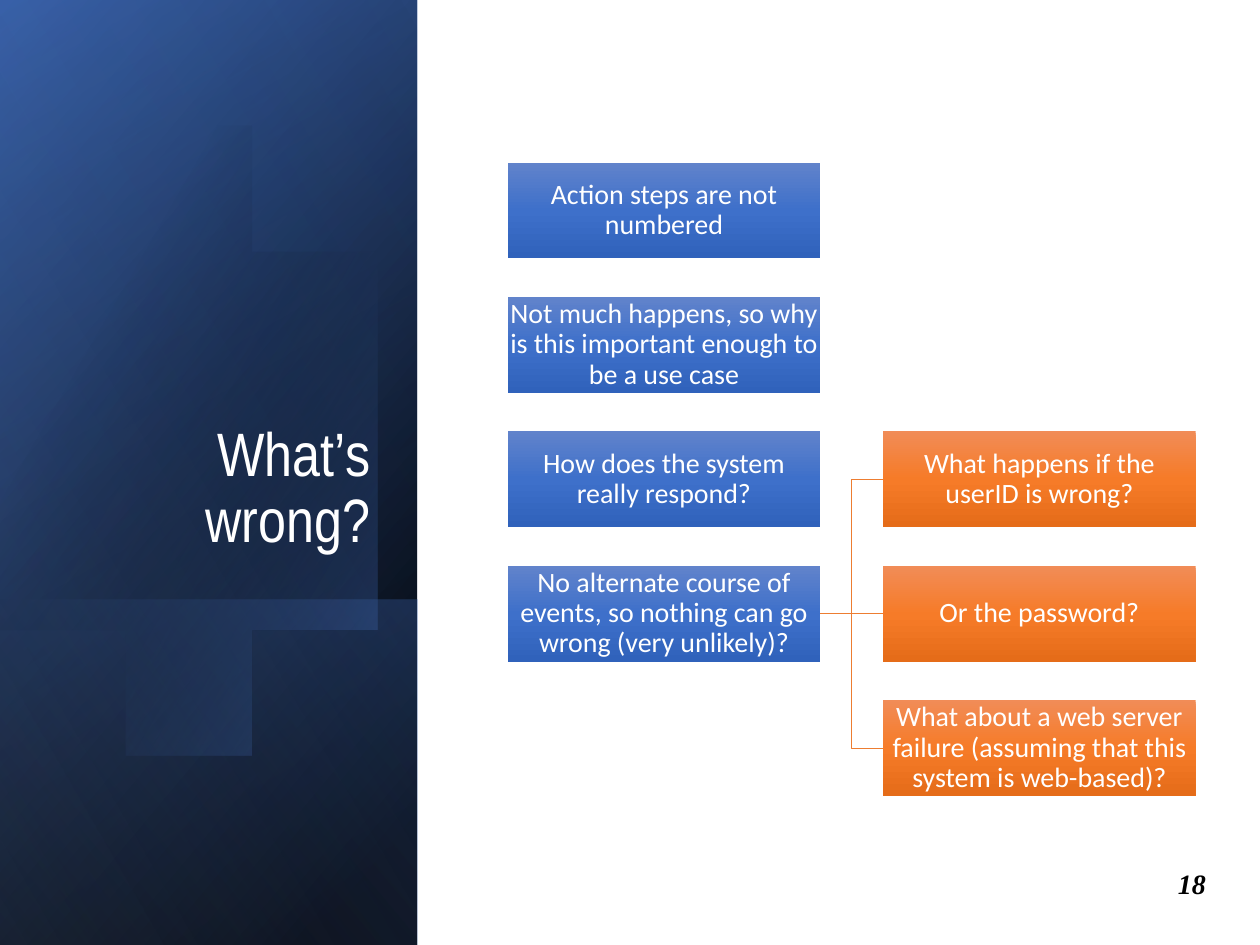
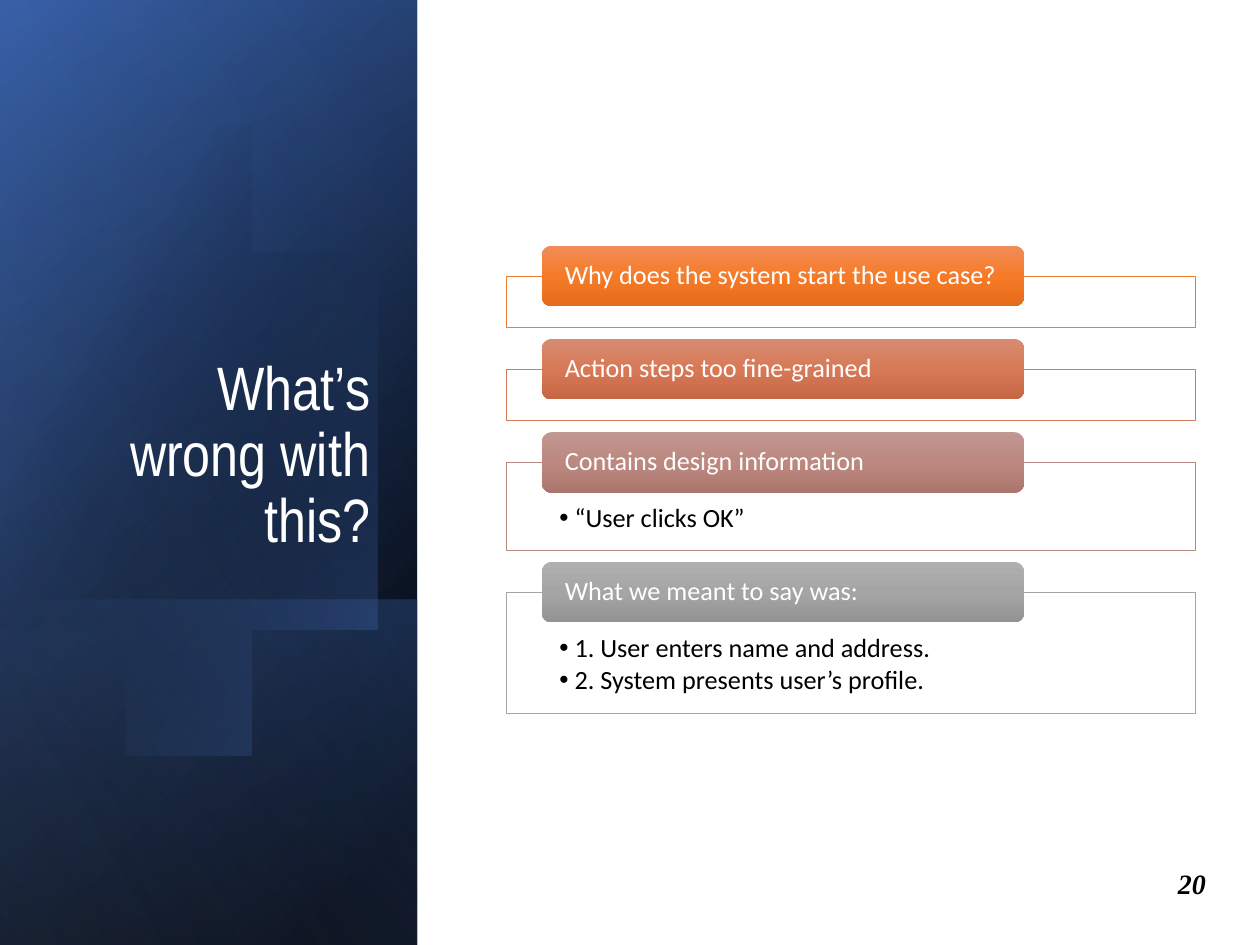
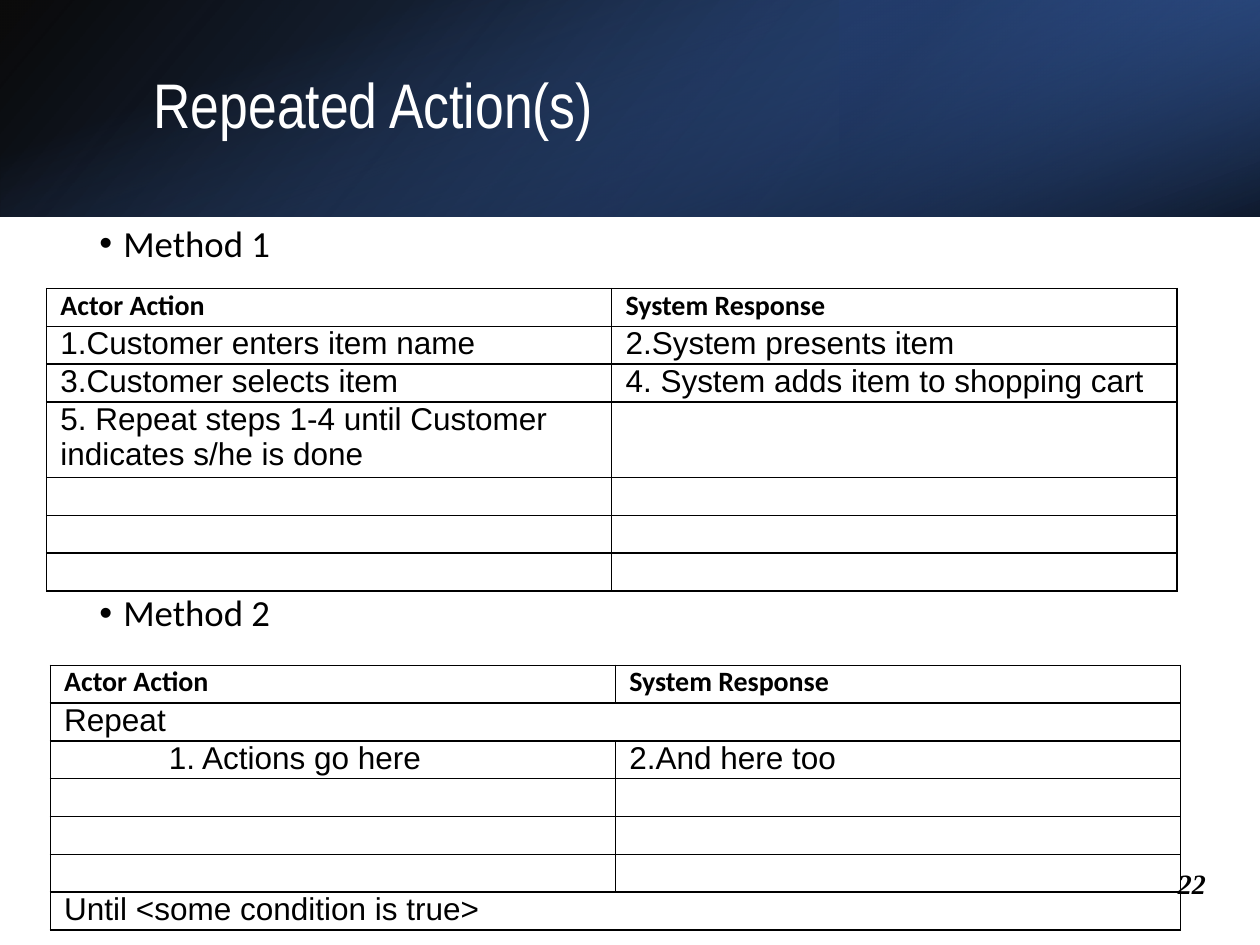
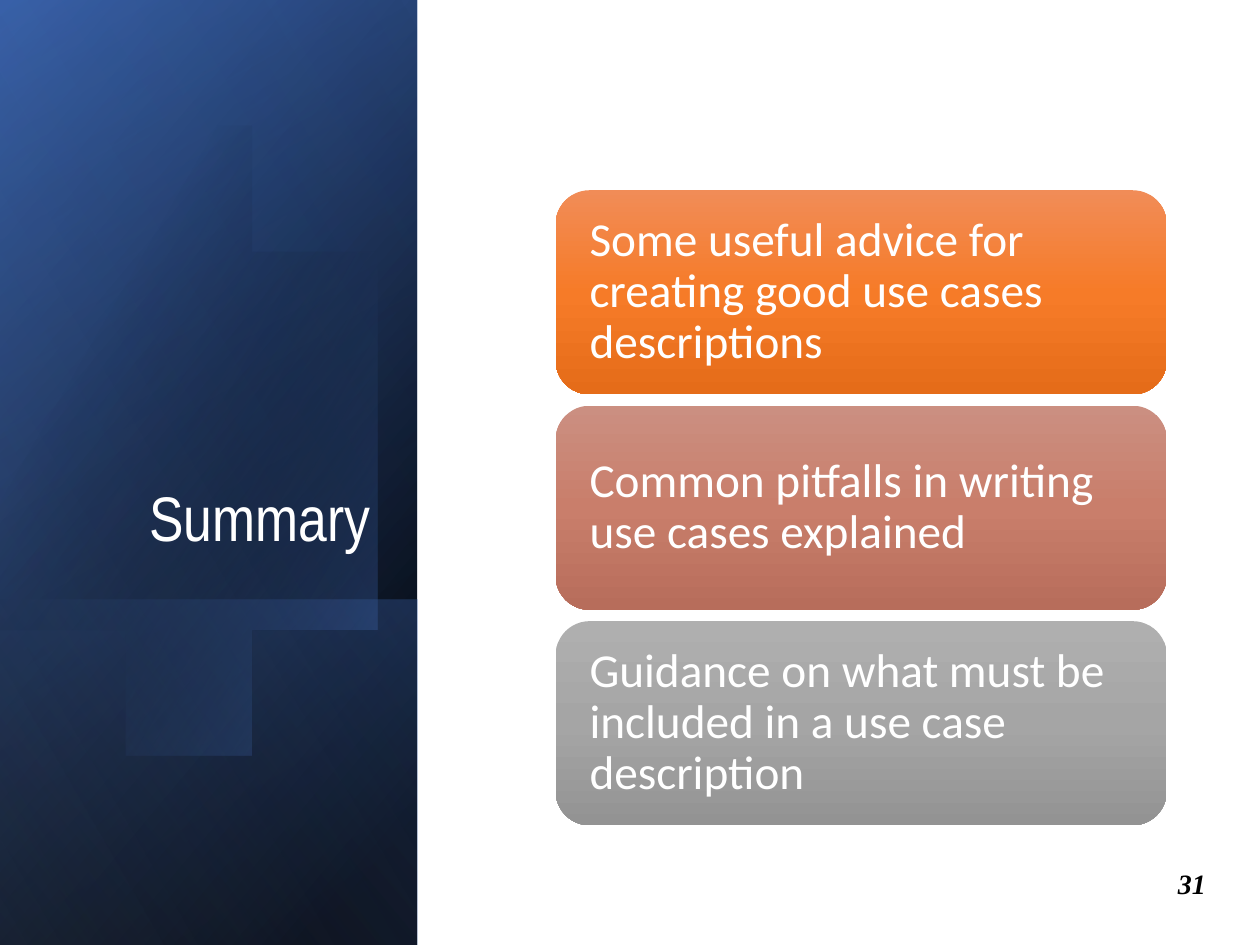
from lxml import etree
from pptx import Presentation
from pptx.dml.color import RGBColor
from pptx.enum.shapes import MSO_CONNECTOR, MSO_SHAPE
from pptx.enum.text import MSO_ANCHOR, MSO_AUTO_SIZE, PP_ALIGN
from pptx.oxml.ns import nsdecls, qn
from pptx.oxml import parse_xml
from pptx.util import Inches, Pt

RECT, ROUND = MSO_SHAPE.RECTANGLE, MSO_SHAPE.ROUNDED_RECTANGLE
ELBOW, STRAIGHT = MSO_CONNECTOR.ELBOW, MSO_CONNECTOR.STRAIGHT
TOP, MIDDLE, BOTTOM = MSO_ANCHOR.TOP, MSO_ANCHOR.MIDDLE, MSO_ANCHOR.BOTTOM
LEFT, CENTER, RIGHT = PP_ALIGN.LEFT, PP_ALIGN.CENTER, PP_ALIGN.RIGHT

WIDE, HIGH = 10, 7.5
SIDE, BAND = 3.31, 1.72          # side panel width, top band height
BLACK, WHITE = "000000", "FFFFFF"
BLUE, ORANGE = "4472C4", "ED7D31"
HEAD, BODY, CELL, PAGE = "Arial Narrow", "Calibri", "Arial", "Times New Roman"

# Three-stop vertical blends for the boxes
SKY = ("6183CB", "3E70CA", "3062BB")
FIRE = ("F18C57", "F67B28", "E56C19")
CLAY = ("D78B72", "D77956", "C66846")
BRICK = ("CB8F81", "C97E6B", "B76D5B")
ROSE = ("C19791", "BC8880", "AA766E")
GREY = ("AFAFAF", "A5A5A5", "939393")

# Layers: visible box, turn, flip, stops (place, colour, opacity), angle
FULL = (0, 0, SIDE, HIGH)
UNDER = [
    (FULL, 90, True, [(8, BLACK, 100), (100, "2F5597", 100)], 50),
    (FULL, 90, True, [(0, BLACK, 0), (99, BLUE, 46)], 30),
    ((0, 4.76, SIDE, 2.74), 90, True, [(2, BLUE, 29), (100, BLACK, 30)], 130),
]
OVER = [(FULL, 90, True, [(0, BLACK, 0), (99, "8FAADC", 11)], 120)]
STRIP = [
    ((0, 0, WIDE, BAND), 0, True, [(0, BLACK, 96), (100, "2F5597", 100)], 140),
    ((WIDE * 2 / 3, 0, WIDE / 3, BAND), 180, True,
     [(19, "203864", 68), (100, BLUE, 79)], 320),
    ((0, 0, WIDE, BAND), 90, False, [(23, BLUE, 0), (99, BLACK, 74)], 340),
]
# Oval outline: each entry is two handles and an end, or just an end
START = (0.96, 1.14)
OVAL = [
    ((1.71, 1.22), (2.44, 1.92), (2.73, 2.9)),
    ((3.07, 4.12), (2.62, 5.31), (1.71, 5.57)),
    ((1.14, 5.74), (0.53, 5.5), (0.07, 5)),
    ((-0.03, 4.88),), ((-0.25, 1.66),), ((-0.15, 1.54),),
    ((0.02, 1.37), (0.22, 1.25), (0.45, 1.18)),
    ((0.62, 1.13), (0.79, 1.12), START),
]
GLOW = [(29, BLACK, 0), (100, BLUE, 43)]

FAULTS = [
    "Action steps are not numbered",
    "Not much happens, so why is this important enough to be a use case",
    "How does the system really respond?",
    "No alternate course of events, so nothing can go wrong (very unlikely)?",
]
RISKS = [
    "What happens if the userID is wrong?",
    "Or the password?",
    "What about a web server failure (assuming that this system is web-based)?",
]
# Heading, blend, outline, frame height, bullets
ISSUES = [
    ("Why does the system start the use case?", FIRE, ORANGE, 0.41, []),
    ("Action steps too fine-grained", CLAY, "D17B5C", 0.41, []),
    ("Contains design information", ROSE, "B98A82", 0.7,
     ["“User clicks OK”"]),
    ("What we meant to say was:", GREY, "A5A5A5", 0.96,
     ["1. User enters name and address.",
      "2. System presents user’s profile."]),
]
POINTS = [
    ("Some useful advice for creating good use cases descriptions", FIRE),
    ("Common pitfalls in writing use cases explained", BRICK),
    ("Guidance on what must be included in a use case description", GREY),
]
COLS = ("Actor Action", "System Response")
BLANK = ("", "")
LOOP = [
    COLS,
    ("1.Customer enters item name", "2.System presents item"),
    ("3.Customer selects item", "4. System adds item to shopping cart"),
    ("5. Repeat steps 1-4 until Customer indicates s/he is done", ""),
    BLANK, BLANK, BLANK,
]
# A row with one entry spans both columns
UNTIL = [
    COLS,
    ("Repeat",),
    ("1. Actions go here", "2.And here too"),
    BLANK, BLANK, BLANK,
    ("Until <some condition is true>",),
]


def tint(code):
    """Turn a hex string into a colour."""
    return RGBColor.from_string(code)


def inch(*sizes):
    """Turn inches into lengths."""
    return [Inches(size) for size in sizes]


def blend(shape, stops, angle):
    """Fill a shape with a linear gradient."""
    shape.fill.background()
    grad = parse_xml(f"<a:gradFill {nsdecls('a')}><a:gsLst/>"
                     f'<a:lin ang="{angle * 60000}" scaled="0"/></a:gradFill>')
    for place, code, alpha in stops:
        stop = etree.SubElement(grad[0], qn("a:gs"), pos=str(place * 1000))
        color = etree.SubElement(stop, qn("a:srgbClr"), val=code)
        if alpha < 100:
            etree.SubElement(color, qn("a:alpha"), val=str(alpha * 1000))
    props = shape.element.spPr
    props.replace(props.find(qn("a:noFill")), grad)


def plain(shape):
    """Strip the shadow and outline."""
    shape.shadow.inherit = False
    shape.line.fill.background()
    return shape


def indent(para, left, hang=0):
    """Indent a paragraph; a hanging one gets a bullet."""
    props = para._p.get_or_add_pPr()
    props.set("marL", str(Inches(left)))
    if hang:
        props.set("indent", str(-Inches(hang)))
        etree.SubElement(props, qn("a:buFont"), typeface="Arial")
        etree.SubElement(props, qn("a:buChar"), char="•")


def style(para, size, face=BODY, code=WHITE, align=LEFT, space=0.9):
    """Set a paragraph's font, alignment and line spacing."""
    para.font.size, para.font.name = Pt(size), face
    para.font.color.rgb = tint(code)
    para.alignment, para.line_spacing = align, space


def setup(frame, pads, anchor=TOP):
    """Wrap a text frame and set its margins: left, top, right, bottom."""
    frame.word_wrap, frame.auto_size = True, MSO_AUTO_SIZE.NONE
    frame.vertical_anchor = anchor
    (frame.margin_left, frame.margin_top,
     frame.margin_right, frame.margin_bottom) = inch(*pads)


def write(frame, lines):
    """Put lines into a frame and return the paragraphs."""
    frame.text = "\n".join(lines)
    return frame.paragraphs


def layer(slide, box, turn, flip, stops, angle):
    """Add a turned gradient rectangle that covers the given box."""
    left, top, wide, high = box
    w, h = (high, wide) if turn == 90 else (wide, high)
    spot = inch(left + (wide - w) / 2, top + (high - h) / 2, w, h)
    shape = plain(slide.shapes.add_shape(RECT, *spot))
    shape.rotation = turn
    if flip:
        shape.element.spPr.find(qn("a:xfrm")).set("flipH", "1")
    blend(shape, stops, angle)


def curve(a, b, c, d, steps=16):
    """Give points along a cubic curve after its start."""
    out = []
    for i in range(1, steps + 1):
        t = i / steps
        parts = ((1 - t) ** 3, 3 * t * (1 - t) ** 2, 3 * t * t * (1 - t), t ** 3)
        out.append(tuple(sum(k * p[n] for k, p in zip(parts, (a, b, c, d)))
                         for n in (0, 1)))
    return out


def oval(slide):
    """Draw the glowing cut oval of the side panel."""
    dots = [START]
    for step in OVAL:
        dots += curve(dots[-1], *step) if len(step) == 3 else step
    build = slide.shapes.build_freeform(*START, scale=Inches(1))
    build.add_line_segments(dots[1:], close=True)
    blend(plain(build.convert_to_shape()), GLOW, 30)


def start(deck, title, page, size, side=True):
    """Add a slide with page number, backdrop and title."""
    slide = deck.slides.add_slide(deck.slide_layouts[5])
    note = slide.shapes.add_textbox(*inch(9.25, 6.83, 0.75, 0.37))
    setup(note.text_frame, (0.1, 0.05, 0.1, 0.05))
    para = write(note.text_frame, [page])[0]
    style(para, 16, PAGE, BLACK, space=1)
    para.font.bold = para.font.italic = True
    for item in UNDER if side else STRIP:
        layer(slide, *item)
    if side:
        oval(slide)
        for item in OVER:
            layer(slide, *item)
    head = slide.shapes.title
    head.element.getparent().append(head.element)  # bring to front
    spot = (0.48, 1.84, 2.56, 2.62) if side else (1.12, 0.38, 8.24, 0.96)
    head.left, head.top, head.width, head.height = inch(*spot)
    setup(head.text_frame, (0.1, 0.05, 0.1, 0.05), BOTTOM if side else MIDDLE)
    para = write(head.text_frame, [title])[0]
    style(para, size, HEAD, align=RIGHT if side else LEFT)
    return slide


def block(slide, kind, box, text, shades, size, pads, align=LEFT):
    """Add a gradient box with centred-height text."""
    shape = plain(slide.shapes.add_shape(kind, *inch(*box)))
    blend(shape, [(n * 50, code, 100) for n, code in enumerate(shades)], 90)
    setup(shape.text_frame, pads, MIDDLE)
    style(write(shape.text_frame, [text])[0], size, align=align)
    return shape


def link(slide, kind, source, target):
    """Join the right side of one box to the left side of another."""
    line = slide.shapes.add_connector(kind, 0, 0, 0, 0)
    line.begin_connect(source, 3)
    line.end_connect(target, 1)
    line.line.color.rgb, line.line.width = tint(ORANGE), Pt(0.5)
    etree.SubElement(line.element.spPr, qn("a:effectLst"))


def tree(slide):
    """Lay out the faults and the risks that branch from the last one."""
    wide, high, step = 2.48, 0.76, 1.067

    def place(col, row, text, shades):
        """Put one box on the grid."""
        box = (4.03 + col * 2.98, 1.29 + row * step, wide, high)
        return block(slide, RECT, box, text, shades, 16, (0.01,) * 4, CENTER)

    left = [place(0, n, text, SKY) for n, text in enumerate(FAULTS)]
    right = [place(1, n + 2, text, FIRE) for n, text in enumerate(RISKS)]
    for n, box in enumerate(right):
        link(slide, STRAIGHT if n == 1 else ELBOW, left[-1], box)


def stack(slide):
    """Stack the outlined frames with their heading tabs."""
    left, top, wide, gap, tab = 4.02, 2.19, 5.47, 0.33, 0.48
    for text, shades, edge, high, lines in ISSUES:
        frame = slide.shapes.add_shape(RECT, *inch(left, top, wide, high))
        frame.shadow.inherit = False
        frame.fill.solid()
        frame.fill.fore_color.rgb = tint(WHITE)
        frame.line.color.rgb, frame.line.width = tint(edge), Pt(0.5)
        if lines:
            setup(frame.text_frame, (0.42, 0.34, 0.42, 0.12))
            for para in write(frame.text_frame, lines):
                style(para, 15, code=BLACK)
                para.space_after = Pt(2)
                indent(para, 0.12, 0.12)
        box = (left + 0.28, top - tab / 2, wide * 0.7, tab)
        block(slide, ROUND, box, text, shades, 15, (0.16, 0, 0.16, 0))
        top += high + gap


def border(cell):
    """Draw black lines on all four sides of a cell."""
    props = cell._tc.get_or_add_tcPr()
    for n, side in enumerate(("lnL", "lnR", "lnT", "lnB")):
        props.insert(n, parse_xml(
            f'<a:{side} {nsdecls("a")} w="{Pt(1)}"><a:solidFill>'
            f'<a:srgbClr val="{BLACK}"/></a:solidFill></a:{side}>'))


def grid(slide, left, top, rows, tall=None, inset=None):
    """Add a two-column table; tall is a double row, inset an indented one."""
    wide, unit = 8.97, 0.3
    high = unit * (len(rows) + (tall is not None))
    table = slide.shapes.add_table(
        len(rows), 2, *inch(left, top, wide, high)).table
    table.first_row = table.horz_banding = False
    for r, row in enumerate(rows):
        table.rows[r].height = Inches(unit * (2 if r == tall else 1))
        if len(row) == 1:
            table.cell(r, 0).merge(table.cell(r, 1))
        for c in range(2):
            cell = table.cell(r, c)
            cell.fill.background()
            border(cell)
            cell.margin_left = cell.margin_right = Inches(0.11)
            cell.margin_top = cell.margin_bottom = 0
            cell.text = row[c] if c < len(row) else ""
            para = cell.text_frame.paragraphs[0]
            style(para, 18 if r else 16, CELL if r else BODY, BLACK, space=1)
            para.font.bold = r == 0
            if r == inset and c == 0:
                indent(para, 0.83)


def loops(slide):
    """Show the two ways to write a repeated action."""
    body = slide.shapes.add_textbox(*inch(0.69, 1.74, 8.62, 5.12))
    setup(body.text_frame, (0.1, 0.05, 0.1, 0.05))
    paras = write(body.text_frame, ["Method 1", "Method 2"])
    for para in paras:
        style(para, 21, code=BLACK)
    paras[1].space_before = Pt(188.5)
    for para in paras:
        indent(para, 0.19, 0.19)
    grid(slide, 0.37, 2.29, LOOP, tall=3)
    grid(slide, 0.4, 5.28, UNTIL, inset=2)


def close(slide):
    """Stack the summary points."""
    high, gap = 1.62, 0.09
    for n, (text, shades) in enumerate(POINTS):
        box = (4.41, 1.51 + n * (high + gap), 4.85, high)
        block(slide, ROUND, box, text, shades, 27, (0.19,) * 4)


def main():
    """Build the deck."""
    deck = Presentation()
    deck.slide_width, deck.slide_height = inch(WIDE, HIGH)
    tree(start(deck, "What’s wrong?", "18", 35))
    stack(start(deck, "What’s wrong with this?", "20", 35))
    loops(start(deck, "Repeated Action(s)", "22", 36, side=False))
    close(start(deck, "Summary", "31", 36))
    deck.save("out.pptx")


main()
